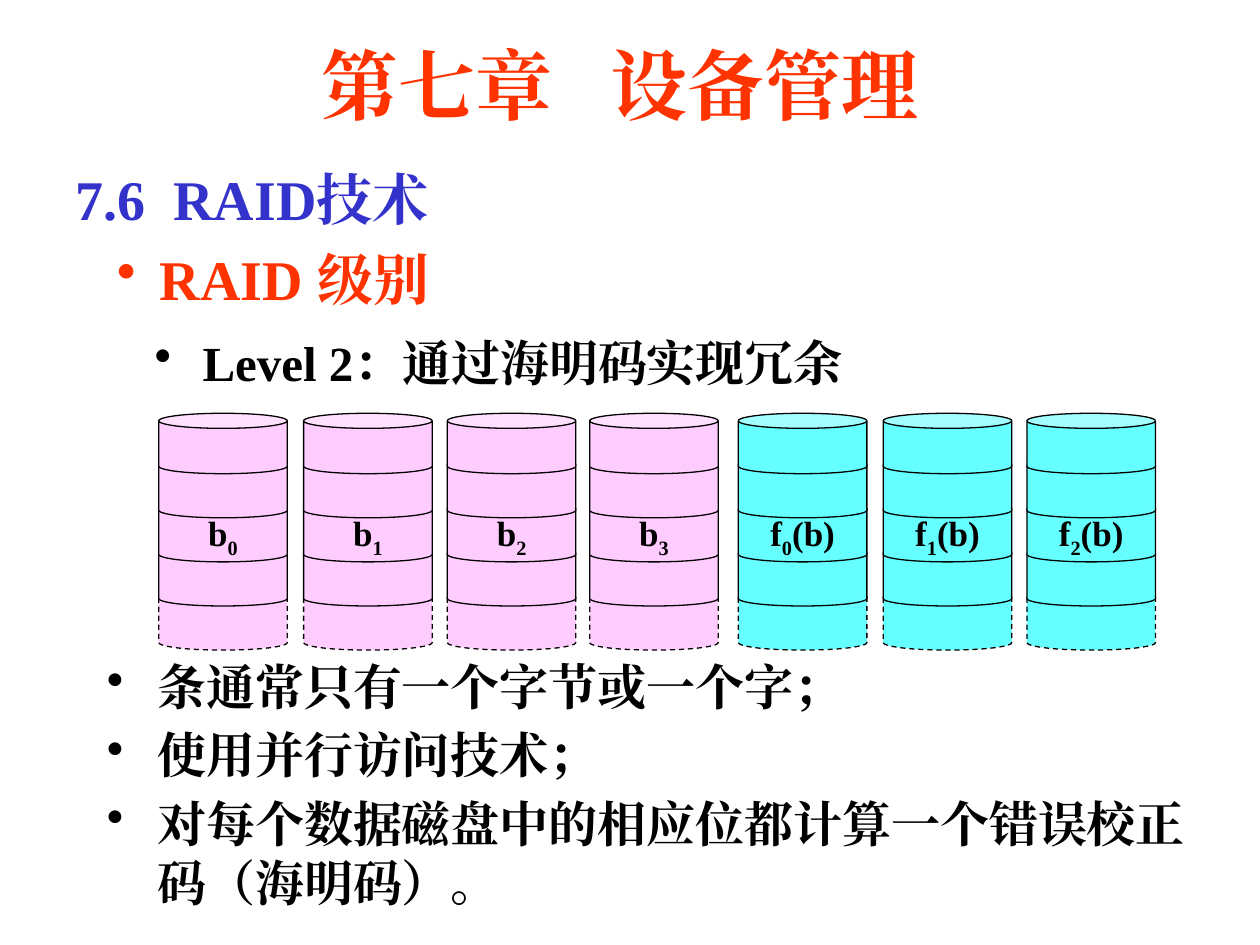
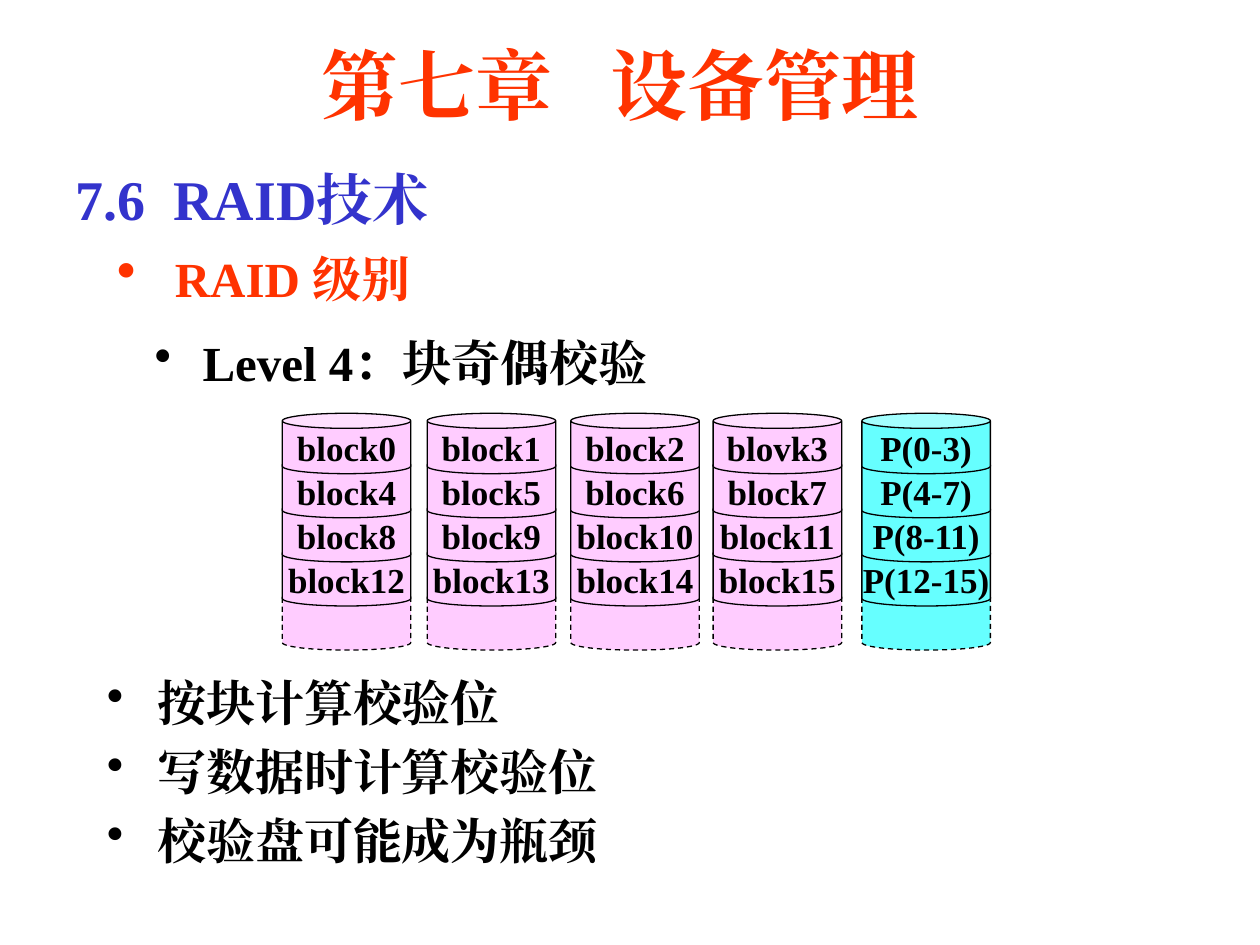
from dataclasses import dataclass

from lxml import etree
from pptx import Presentation
from pptx.dml.color import RGBColor
from pptx.enum.dml import MSO_LINE
from pptx.enum.shapes import MSO_SHAPE
from pptx.enum.text import MSO_ANCHOR, PP_ALIGN
from pptx.oxml.ns import qn
from pptx.util import Inches, Pt

CAN = MSO_SHAPE.CAN
DASH = MSO_LINE.DASH
TOP, MIDDLE = MSO_ANCHOR.TOP, MSO_ANCHOR.MIDDLE
LEFT, CENTER = PP_ALIGN.LEFT, PP_ALIGN.CENTER

DISK_OFFSETS = (0, 1.15, 2.29, 3.42, 4.6, 5.75, 6.89)
DISK_TOP = 3.28
SEGMENT_COUNT = 5
SEGMENT_PITCH = 0.35
SEGMENT_WIDTH = 1.02
SEGMENT_HEIGHT = 0.48


@dataclass(frozen=True)
class Theme:
    """Colours, font and type sizes shared by the slides."""
    font: str = "Times New Roman"
    accent: RGBColor = RGBColor(0xFF, 0x33, 0x00)
    section: RGBColor = RGBColor(0x33, 0x33, 0xCC)
    ink: RGBColor = RGBColor(0x00, 0x00, 0x00)
    data_disk: RGBColor = RGBColor(0xFF, 0xCC, 0xFF)
    check_disk: RGBColor = RGBColor(0x66, 0xFF, 0xFF)
    title_size: int = 44
    heading_size: int = 32
    body_size: int = 28
    label_size: int = 20


class Deck:
    """Builds the slides in one style."""

    def __init__(self, theme):
        self.theme = theme
        self.presentation = Presentation()
        self.presentation.slide_width = Inches(10)
        self.presentation.slide_height = Inches(7.5)
        self.slide = None

    def style(self, paragraph, size, color):
        font = paragraph.font
        font.size = Pt(size)
        font.bold = True
        font.color.rgb = color
        font.name = self.theme.font
        etree.SubElement(font._element, qn("a:ea"), typeface=self.theme.font)

    def bullet(self, paragraph, indent, percent):
        properties = paragraph._p.get_or_add_pPr()
        properties.set("marL", str(Inches(indent)))
        properties.set("indent", str(-Inches(indent)))
        etree.SubElement(properties, qn("a:buSzPct"), val=str(percent * 1000))
        etree.SubElement(properties, qn("a:buChar"), char="•")

    def text(self, box, lines, size, color, align=LEFT, anchor=TOP,
             indent=None, bullet_percent=100, line_spacing=None):
        frame = self.slide.shapes.add_textbox(*map(Inches, box)).text_frame
        frame.word_wrap = True
        frame.vertical_anchor = anchor
        for index, line in enumerate(lines):
            paragraph = frame.add_paragraph() if index else frame.paragraphs[0]
            paragraph.text = line
            paragraph.alignment = align
            if line_spacing:
                paragraph.line_spacing = line_spacing
            if index:
                paragraph.space_before = Pt(size * 0.2)
            if indent:
                self.bullet(paragraph, indent, bullet_percent)
            self.style(paragraph, size, color)

    def label(self, shape, parts):
        frame = shape.text_frame
        frame.word_wrap = False
        frame.vertical_anchor = MIDDLE
        paragraph = frame.paragraphs[0]
        paragraph.alignment = CENTER
        self.style(paragraph, self.theme.label_size, self.theme.ink)
        for index, part in enumerate(parts):
            run = paragraph.add_run()
            run.text = part
            if index % 2:
                run.font._element.set("baseline", "-25000")

    def disk(self, left, color, labels):
        group = self.slide.shapes.add_group_shape()
        for row in reversed(range(SEGMENT_COUNT)):
            box = (left, DISK_TOP + row * SEGMENT_PITCH, SEGMENT_WIDTH, SEGMENT_HEIGHT)
            segment = group.shapes.add_shape(CAN, *map(Inches, box))
            segment.adjustments[0] = 0.25
            segment.shadow.inherit = False
            segment.fill.solid()
            segment.fill.fore_color.rgb = color
            segment.line.color.rgb = self.theme.ink
            segment.line.width = Pt(0.75)
            if row == SEGMENT_COUNT - 1:
                segment.line.dash_style = DASH
            if row in labels:
                self.label(segment, labels[row])

    def disks(self, left, data_labels, check_labels):
        colors = ([self.theme.data_disk] * len(data_labels)
                  + [self.theme.check_disk] * len(check_labels))
        for offset, color, labels in zip(DISK_OFFSETS, colors, data_labels + check_labels):
            self.disk(left + offset, color, labels)

    def start_slide(self, level, heading_size, heading_indent):
        theme = self.theme
        self.slide = self.presentation.slides.add_slide(self.presentation.slide_layouts[6])
        self.text((1.17, 0.25, 7.5, 0.83), ["第七章   设备管理"], theme.title_size,
                  theme.accent, align=CENTER, anchor=MIDDLE)
        self.text((0.5, 1.26, 8.92, 0.63), ["7.6  RAID技术"], theme.heading_size, theme.section)
        self.text((0.83, 1.79, 4.57, 0.83), ["RAID 级别"], heading_size, theme.accent,
                  anchor=MIDDLE, indent=heading_indent,
                  bullet_percent=round(100 * theme.heading_size / heading_size))
        self.text((1.13, 2.57, 8.6, 0.63), [level], theme.body_size, theme.ink,
                  indent=0.38, line_spacing=1.05)

    def features(self, box, lines):
        self.text(box, lines, self.theme.body_size, self.theme.ink, indent=0.4)


def main():
    theme = Theme()
    deck = Deck(theme)

    deck.start_slide("Level 2：通过海明码实现冗余", theme.heading_size, 0.34)
    deck.disks(1.26,
               [{2: ("b", str(bit))} for bit in range(4)],
               [{2: ("f", str(check), "(b)")} for check in range(3)])
    deck.features((0.75, 5.16, 8.98, 2.16), [
        "条通常只有一个字节或一个字；",
        "使用并行访问技术；",
        "对每个数据磁盘中的相应位都计算一个错误校正码（海明码）。",
    ])

    deck.start_slide("Level 4：块奇偶校验", theme.body_size, 0.46)
    block_rows = [
        ("block0", "block1", "block2", "blovk3"),
        ("block4", "block5", "block6", "block7"),
        ("block8", "block9", "block10", "block11"),
        ("block12", "block13", "block14", "block15"),
    ]
    data_labels = [{row: (name,) for row, name in enumerate(column)}
                   for column in zip(*block_rows)]
    parity_labels = {row: (f"P({4 * row}-{4 * row + 3})",) for row in range(4)}
    deck.disks(2.24, data_labels, [parity_labels])
    deck.features((0.75, 5.29, 8.35, 1.69), [
        "按块计算校验位",
        "写数据时计算校验位",
        "校验盘可能成为瓶颈",
    ])

    deck.presentation.save("out.pptx")


if __name__ == "__main__":
    main()
